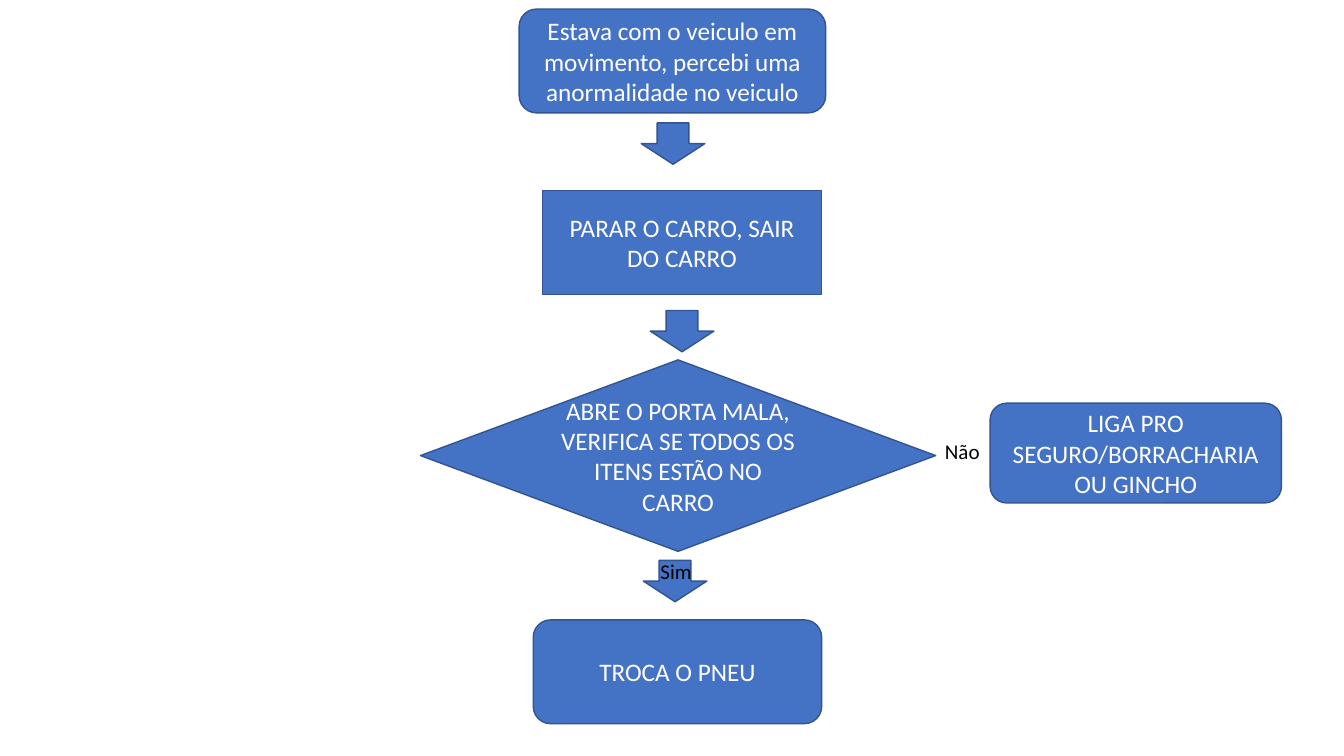
from dataclasses import dataclass
from pptx import Presentation
from pptx.dml.color import RGBColor
from pptx.enum.shapes import MSO_SHAPE as Shape
from pptx.enum.text import MSO_ANCHOR as Anchor, MSO_AUTO_SIZE as Fit, PP_ALIGN as Align
from pptx.util import Inches, Pt


@dataclass(frozen=True)
class Theme:
    font: str = "Calibri"
    fill: RGBColor = RGBColor(0x44, 0x72, 0xC4)
    edge: RGBColor = RGBColor(0x32, 0x54, 0x91)
    light: RGBColor = RGBColor(0xFF, 0xFF, 0xFF)
    dark: RGBColor = RGBColor(0, 0, 0)
    step: int = 18
    label: int = 15


THEME = Theme()

# Places are percent of the slide: centre x, top, width, height
STEPS = [
    (Shape.ROUNDED_RECTANGLE, (50.03, 1.2, 22.81, 13.73),
     "Estava com o veiculo em movimento, percebi uma anormalidade no veiculo"),
    (Shape.RECTANGLE, (50.75, 25.2, 20.78, 13.73), "PARAR O CARRO, SAIR DO CARRO"),
    (Shape.FLOWCHART_DECISION, (50.45, 47.6, 38.33, 25.33),
     "ABRE O PORTA MALA, VERIFICA SE TODOS OS ITENS ESTÃO NO CARRO"),
    (Shape.ROUNDED_RECTANGLE, (50.41, 82, 21.46, 13.73), "TROCA O PNEU"),
    (Shape.ROUNDED_RECTANGLE, (84.51, 53.33, 21.68, 13.2),
     "LIGA PRO SEGURO/BORRACHARIA OU GINCHO"),
]
ARROWS = [(50.08, 16.27), (50.75, 41.07), (50.23, 74.13)]
ARROW_SIZE = (4.73, 5.47)
NO = ("Não", (71.6, 58.27))
YES = ("Sim", (50.3, 74.13))
LABEL_SIZE = (21.68, 4.13)

deck = Presentation()
deck.slide_width, deck.slide_height = Inches(13.33), Inches(7.5)
slide = deck.slides.add_slide(deck.slide_layouts[0])
shapes = slide.shapes


def box(mid, top, wide, high):
    """Turn percent of the slide into left, top, width, height."""
    across, down = deck.slide_width / 100, deck.slide_height / 100
    return (round((mid - wide / 2) * across), round(top * down),
            round(wide * across), round(high * down))


def write(shape, text, size, color):
    frame = shape.text_frame
    frame.text = text
    frame.word_wrap = True
    frame.auto_size = Fit.NONE
    para = frame.paragraphs[0]
    para.alignment = Align.CENTER
    para.font.name = THEME.font
    para.font.size = Pt(size)
    para.font.color.rgb = color
    return frame, para


def block(kind, place):
    shape = shapes.add_shape(kind, *box(*place))
    shape.shadow.inherit = False
    shape.fill.solid()
    shape.fill.fore_color.rgb = THEME.fill
    shape.line.color.rgb = THEME.edge
    shape.line.width = Pt(1)
    return shape


def label(shape, text):
    frame, para = write(shape, text, THEME.label, THEME.dark)
    frame.vertical_anchor = Anchor.TOP
    para.line_spacing = 0.7
    para.space_before = Pt(10)


for spot in ARROWS:
    block(Shape.DOWN_ARROW, spot + ARROW_SIZE)

for kind, place, text in STEPS:
    frame, _ = write(block(kind, place), text, THEME.step, THEME.light)
    frame.vertical_anchor = Anchor.MIDDLE

title = shapes.title.element
title.getparent().remove(title)

text, spot = NO
sub = slide.placeholders[1]
sub.left, sub.top, sub.width, sub.height = box(*spot, *LABEL_SIZE)
label(sub, text)

text, spot = YES
label(shapes.add_textbox(*box(*spot, *LABEL_SIZE)), text)

deck.save("out.pptx")
